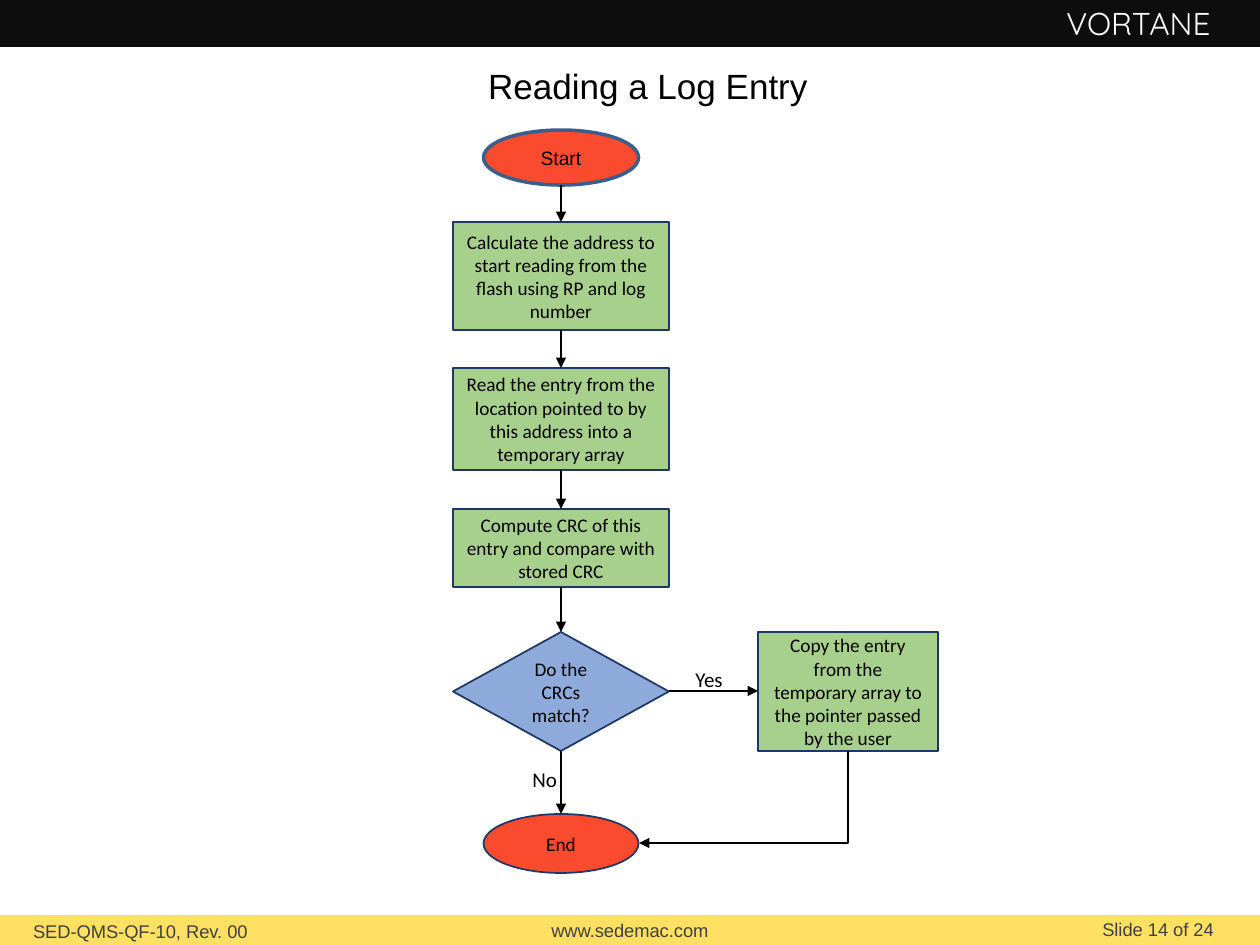
from dataclasses import dataclass

from lxml.etree import SubElement
from pptx import Presentation
from pptx.dml.color import RGBColor
from pptx.enum.shapes import MSO_CONNECTOR, MSO_SHAPE
from pptx.enum.text import MSO_ANCHOR, PP_ALIGN
from pptx.oxml.ns import qn
from pptx.util import Emu, Pt


@dataclass(frozen=True)
class Theme:
    black: str = "000000"
    white: str = "FFFFFF"
    header: str = "0D0D0D"
    footer: str = "FFE063"
    footer_text: str = "404040"
    terminal: str = "FA4B2E"
    process: str = "A8D08D"
    decision: str = "8EAADB"
    outline: str = "1F3763"
    start_outline: str = "3A5F8C"
    sans: str = "Arial"
    body: str = "Calibri"
    brand: str = "Quicksand"
    title_size: float = 20
    brand_size: float = 18
    label_size: float = 12
    node_size: float = 11
    footer_size: float = 10.5


theme = Theme()
EMU_PER_PX = 914400 / 126


def px(*lengths):
    return [Emu(round(length * EMU_PER_PX)) for length in lengths]


def write(shape, text, font, size, color, align, anchor=MSO_ANCHOR.TOP):
    frame = shape.text_frame
    frame.word_wrap = True
    frame.vertical_anchor = anchor
    frame.text = text
    paragraph = frame.paragraphs[0]
    paragraph.alignment = align
    run = paragraph.runs[0]
    run.font.name = font
    run.font.size = Pt(size)
    run.font.color.rgb = RGBColor.from_string(color)
    return paragraph


presentation = Presentation()
presentation.slide_width, presentation.slide_height = px(1260, 945)
slide = presentation.slides.add_slide(presentation.slide_layouts[5])

title = slide.shapes.title
title.left, title.top, title.width, title.height = px(239, 58, 818, 56)
write(title, "Reading a Log Entry", theme.sans, theme.title_size, theme.black, PP_ALIGN.CENTER)

for top, height, color in [(0, 47, theme.header), (915, 31, theme.footer)]:
    bar = slide.shapes.add_shape(MSO_SHAPE.RECTANGLE, *px(0, top, 1260, height))
    bar.shadow.inherit = False
    bar.fill.solid()
    bar.fill.fore_color.rgb = RGBColor.from_string(color)
    bar.line.fill.background()
write(bar, "www.sedemac.com", theme.sans, theme.footer_size, theme.footer_text,
      PP_ALIGN.CENTER, MSO_ANCHOR.MIDDLE)

for text, left, top, width, align in [
    ("SED-QMS-QF-10, Rev. 00", 0, 920, 281, PP_ALIGN.CENTER),
    ("Slide 14 of 24", 903, 918, 311, PP_ALIGN.RIGHT),
]:
    footer = slide.shapes.add_textbox(*px(left, top, width, 26))
    frame = footer.text_frame
    frame.margin_left = frame.margin_right = frame.margin_top = frame.margin_bottom = 0
    write(footer, text, theme.sans, theme.footer_size, theme.footer_text, align)

brand = slide.shapes.add_textbox(*px(1018, 6, 241, 42))
paragraph = write(brand, "VORTANE", theme.brand, theme.brand_size, theme.white,
                  PP_ALIGN.CENTER, MSO_ANCHOR.MIDDLE)
paragraph.line_spacing = 0.76

main_x, copy_x = 561, 848
nodes = [
    ("Start", MSO_SHAPE.OVAL, theme.terminal, main_x, 130, 155, 55),
    ("Calculate the address to start reading from the flash using RP and log number",
     MSO_SHAPE.RECTANGLE, theme.process, main_x, 222, 216, 108),
    ("Read the entry from the location pointed to by this address into a temporary array",
     MSO_SHAPE.RECTANGLE, theme.process, main_x, 368, 216, 102),
    ("Compute CRC of this entry and compare with stored CRC",
     MSO_SHAPE.RECTANGLE, theme.process, main_x, 509, 216, 78),
    ("Do the CRCs match?", MSO_SHAPE.DIAMOND, theme.decision, main_x, 632, 216, 119),
    ("End", MSO_SHAPE.OVAL, theme.terminal, main_x, 814, 155, 59),
    ("Copy the entry from the temporary array to the pointer passed by the user",
     MSO_SHAPE.RECTANGLE, theme.process, copy_x, 632, 180, 119),
]
for text, kind, color, center, top, width, height in nodes:
    is_start = text == "Start"
    node = slide.shapes.add_shape(kind, *px(center - width / 2, top, width, height))
    node.shadow.inherit = False
    node.fill.solid()
    node.fill.fore_color.rgb = RGBColor.from_string(color)
    node.line.color.rgb = RGBColor.from_string(theme.start_outline if is_start else theme.outline)
    node.line.width = Pt(2 if is_start else 1)
    write(node, text, theme.sans if is_start else theme.body, theme.node_size, theme.black,
          PP_ALIGN.CENTER, MSO_ANCHOR.MIDDLE)

main_column = nodes[:6]
arrows = [
    (main_x, upper[4] + upper[6], main_x, lower[4])
    for upper, lower in zip(main_column, main_column[1:])
]
arrows.append((669, 691, 758, 691))
arrows.append((copy_x, 751, 639, 843))
for start_x, start_y, end_x, end_y in arrows:
    bent = start_x != end_x and start_y != end_y
    kind = MSO_CONNECTOR.ELBOW if bent else MSO_CONNECTOR.STRAIGHT
    arrow = slide.shapes.add_connector(kind, *px(start_x, start_y, end_x, end_y))
    arrow.line.color.rgb = RGBColor.from_string(theme.black)
    arrow.line.width = Pt(0.75)
    properties = arrow.element.spPr
    SubElement(properties.find(qn("a:ln")), qn("a:tailEnd"), type="triangle")
    SubElement(properties, qn("a:effectLst"))
    if bent:
        run_x, run_y = start_x - end_x, end_y - start_y
        middle_x, middle_y = (start_x + end_x) / 2, (start_y + end_y) / 2
        transform = properties.find(qn("a:xfrm"))
        transform.attrib.pop("flipH", None)
        transform.set("rot", "5400000")
        properties.find(qn("a:prstGeom")).set("prst", "bentConnector2")
        arrow.left, arrow.top, arrow.width, arrow.height = px(
            middle_x - run_y / 2, middle_y - run_x / 2, run_y, run_x)

for text, left, top, width in [("No", 520, 760, 53), ("Yes", 683, 660, 59)]:
    label = slide.shapes.add_textbox(*px(left, top, width, 38))
    write(label, text, theme.body, theme.label_size, theme.black, PP_ALIGN.LEFT)

presentation.save("out.pptx")
